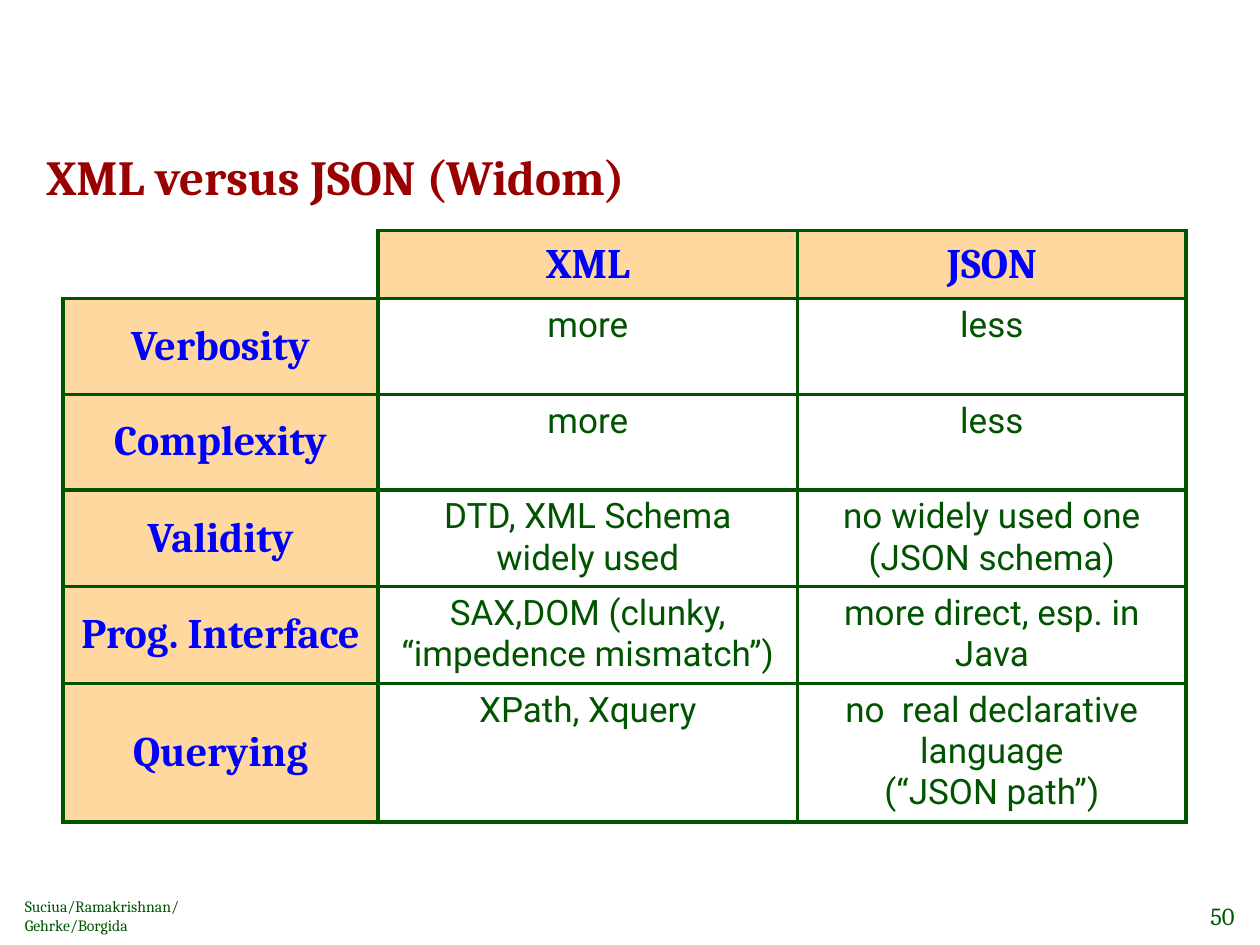
from dataclasses import dataclass

from lxml.etree import SubElement
from pptx import Presentation
from pptx.dml.color import RGBColor as Rgb
from pptx.enum.text import MSO_ANCHOR as Anchor, PP_ALIGN as Align
from pptx.oxml.ns import qn
from pptx.util import Cm, Pt

INK = {"green": "005400", "red": "990000", "blue": "0000FF", "peach": "FFD8A0"}
SERIF, SANS = "Cambria", "Roboto"


@dataclass
class Style:
    size: int
    face: str
    ink: str
    bold: bool = False
    align: Align = Align.LEFT
    anchor: Anchor = Anchor.MIDDLE


@dataclass
class Note:
    text: str
    box: tuple
    style: Style


TITLE = Style(28, SERIF, "red", True, anchor=Anchor.TOP)
HEAD = Style(24, SERIF, "blue", True, Align.CENTER)
BODY = Style(20, SANS, "green", align=Align.CENTER, anchor=Anchor.TOP)

NOTES = [
    Note("Suciua/Ramakrishnan/\vGehrke/Borgida", (0.25, 18.14, 5.69, 0.64),
         Style(9, SERIF, "green")),
    Note("50", (24.05, 18.03, 1.09, 0.84),
         Style(14, SERIF, "green", align=Align.RIGHT)),
]

COLS = [6.35, 8.46, 7.83]
ROWS = [1.37] + [1.93] * 4 + [2.79]
GRID = [
    ("", "XML", "JSON"),
    ("Verbosity", "more", "less"),
    ("Complexity", "more", "less"),
    ("Validity", "DTD, XML Schema\nwidely used", "no widely used one\n(JSON schema)"),
    ("Prog. Interface", "SAX,DOM (clunky, “impedence mismatch”)",
     "more direct, esp. in Java"),
    ("Querying", "XPath, Xquery", "no  real declarative language\n(“JSON path”)"),
]


def write(frame, text: str, style: Style) -> None:
    """Fill a text frame and format every run."""
    frame.text = text
    for para in frame.paragraphs:
        para.alignment = style.align
        for run in para.runs:
            font = run.font
            font.size, font.name, font.bold = Pt(style.size), style.face, style.bold
            font.color.rgb = Rgb.from_string(INK[style.ink])


def place(shape, box: tuple) -> None:
    shape.left, shape.top, shape.width, shape.height = map(Cm, box)


def add_note(slide, note: Note) -> None:
    frame = slide.shapes.add_textbox(*map(Cm, note.box)).text_frame
    frame.word_wrap = True
    frame.vertical_anchor = note.style.anchor
    write(frame, note.text, note.style)


def edge(cell, sides: str) -> None:
    """Draw the named sides of a cell; the rest stay clear."""
    props = cell._tc.get_or_add_tcPr()
    for spot, side in enumerate("LRTB"):
        line = SubElement(props, qn(f"a:ln{side}"), w=str(Pt(2.25)))
        props.insert(spot, line)
        if side in sides:
            fill = SubElement(line, qn("a:solidFill"))
            SubElement(fill, qn("a:srgbClr"), val=INK["green"])
        else:
            SubElement(line, qn("a:noFill"))


def add_grid(slide) -> None:
    frame = slide.shapes.add_table(len(ROWS), len(COLS), Cm(1.27), Cm(4.65),
                                   Cm(sum(COLS)), Cm(sum(ROWS)))
    table = frame.table
    table.first_row = table.horz_banding = False
    for col, width in zip(table.columns, COLS):
        col.width = Cm(width)
    for row, height in zip(table.rows, ROWS):
        row.height = Cm(height)
    for r, texts in enumerate(GRID):
        for c, text in enumerate(texts):
            cell = table.cell(r, c)
            style = HEAD if r == 0 or c == 0 else BODY
            write(cell.text_frame, text, style)
            cell.vertical_anchor = style.anchor
            if style is HEAD and text:
                cell.fill.solid()
                cell.fill.fore_color.rgb = Rgb.from_string(INK["peach"])
            else:
                cell.fill.background()
            edge(cell, "LRTB" if text else "RB")


def add_title(slide) -> None:
    title = slide.shapes.title
    place(title, (0.43, 2.97, 23.06, 1.47))
    frame = title.text_frame
    write(frame, "XML versus JSON (Widom)", TITLE)
    frame.word_wrap = True
    frame.vertical_anchor = TITLE.anchor
    para = frame.paragraphs[0]
    para.line_spacing, para.space_after = 0.9, Pt(6)
    # Hanging indent
    props = para._p.get_or_add_pPr()
    props.set("marL", str(Cm(0.76)))
    props.set("indent", str(Cm(-0.51)))


def main() -> None:
    deck = Presentation()
    deck.slide_width, deck.slide_height = Cm(25.4), Cm(19.05)
    slide = deck.slides.add_slide(deck.slide_layouts[5])
    # Footer and page number
    for note in NOTES:
        add_note(slide, note)
    # Heading and comparison
    add_title(slide)
    add_grid(slide)
    deck.save("out.pptx")


if __name__ == "__main__":
    main()
